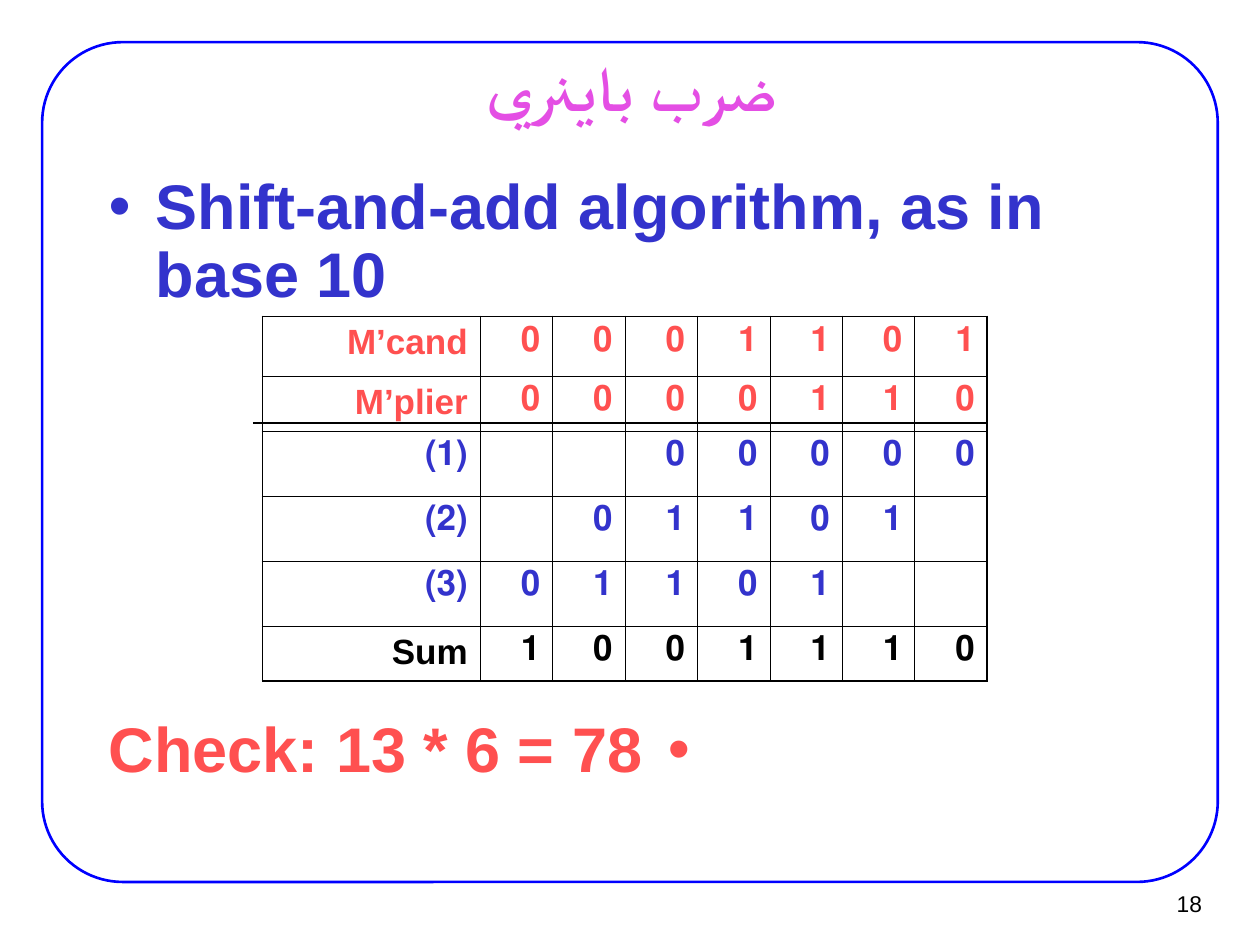
from dataclasses import dataclass

from lxml.etree import SubElement
from pptx import Presentation
from pptx.dml.color import RGBColor
from pptx.enum.shapes import MSO_CONNECTOR, MSO_SHAPE
from pptx.enum.text import MSO_ANCHOR, PP_ALIGN
from pptx.oxml import parse_xml
from pptx.oxml.ns import nsdecls, qn
from pptx.util import Cm, Pt

FONT = "Arial"
BLACK, BLUE, RED, PINK = "000000", "3333CC", "FF5050", "E44EE4"
THIN, THICK = 0.45, 1.08
FRAME_BLUE, WHITE = "0000FF", "FFFFFF"


@dataclass
class TextItem:
    text: str
    left: float
    top: float
    width: float
    height: float
    size: float
    color: str
    align: PP_ALIGN = PP_ALIGN.LEFT
    bold: bool = True
    bullet: bool = False
    rtl: bool = False
    middle: bool = False
    wrap: bool = True
    inset: tuple = (0.28, 0.15)


@dataclass
class TableRow:
    label: str
    digits: str
    height: float
    color: str


TEXTS = [
    TextItem("18", 22.91, 17.75, 1.55, 0.94, 13, BLACK, PP_ALIGN.RIGHT, bold=False,
             middle=True, wrap=False, inset=(0.23, 0.1)),
    TextItem("ضرب باينري", 1.93, 1.12, 21.59, 1.24, 36, PINK, PP_ALIGN.CENTER,
             rtl=True, middle=True),
    TextItem("Shift-and-add algorithm, as in base 10", 1.91, 3.38, 21.59, 2.9, 36, BLUE,
             bullet=True),
    TextItem("Check: 13 * 6 = 78", 1.91, 14.33, 21.59, 1.95, 36, RED, bullet=True, rtl=True),
]

ROWS = [
    TableRow("M’cand", "0001101", 1.2, RED),
    TableRow("M’plier", "0000110", 1.11, RED),
    TableRow("(1)", "  00000", 1.31, BLUE),
    TableRow("(2)", " 01101 ", 1.31, BLUE),
    TableRow("(3)", "01101  ", 1.31, BLUE),
    TableRow("Sum", "1001110", 1.11, BLACK),
]
LABEL_WIDTH, DIGIT_WIDTH = 4.39, 1.46


def rgb(value: str) -> RGBColor:
    return RGBColor.from_string(value)


def add_span(para, text: str, size: float, color: str, bold: bool) -> None:
    span = para.add_run()
    span.text = text
    span.font.name = FONT
    span.font.size = Pt(size)
    span.font.bold = bold
    span.font.color.rgb = rgb(color)


def add_bullet(para, color: str) -> None:
    properties = para._p.get_or_add_pPr()
    properties.set("marL", str(Cm(0.95)))
    properties.set("indent", str(-Cm(0.95)))
    para.line_spacing = 0.9
    para.space_before = Pt(9)
    bullet_color = SubElement(properties, qn("a:buClr"))
    SubElement(bullet_color, qn("a:srgbClr")).set("val", color)
    SubElement(properties, qn("a:buFont")).set("typeface", FONT)
    SubElement(properties, qn("a:buChar")).set("char", "•")


def draw_text(page, item: TextItem) -> None:
    box = page.shapes.add_textbox(Cm(item.left), Cm(item.top), Cm(item.width), Cm(item.height))
    frame = box.text_frame
    frame.word_wrap = item.wrap
    frame.margin_left = frame.margin_right = Cm(item.inset[0])
    frame.margin_top = frame.margin_bottom = Cm(item.inset[1])
    frame.vertical_anchor = MSO_ANCHOR.MIDDLE if item.middle else MSO_ANCHOR.TOP
    para = frame.paragraphs[0]
    para.alignment = item.align
    if item.rtl:
        para._p.get_or_add_pPr().set("rtl", "1")
    if item.bullet:
        add_bullet(para, item.color)
    add_span(para, item.text, item.size, item.color, item.bold)


def draw_borders(cell, widths: dict[str, float]) -> None:
    properties = cell._tc.get_or_add_tcPr()
    for position, (side, width) in enumerate(widths.items()):
        border = parse_xml(
            f'<a:{side} {nsdecls("a")} w="{Pt(width)}"><a:solidFill>'
            f'<a:srgbClr val="{BLACK}"/></a:solidFill></a:{side}>')
        properties.insert(position, border)


def fill_cell(cell, text: str, color: str) -> None:
    cell.fill.background()
    cell.margin_left = cell.margin_right = Cm(0.25)
    cell.margin_top = cell.margin_bottom = Cm(0.13)
    if text.strip():
        para = cell.text_frame.paragraphs[0]
        para.alignment = PP_ALIGN.RIGHT
        para.space_before = Pt(5)
        para._p.get_or_add_pPr().set("rtl", "1")
        add_span(para, text, 20, color, True)


def draw_table(page, rows: list[TableRow]) -> None:
    digit_count = len(rows[0].digits)
    width = LABEL_WIDTH + DIGIT_WIDTH * digit_count
    height = sum(row.height for row in rows)
    table = page.shapes.add_table(
        len(rows), digit_count + 1, Cm(5.29), Cm(6.38), Cm(width), Cm(height)).table
    table.first_row = table.horz_banding = False
    for index, column in enumerate(table.columns):
        column.width = Cm(DIGIT_WIDTH if index else LABEL_WIDTH)
    for row_index, row in enumerate(rows):
        table.rows[row_index].height = Cm(row.height)
        for column_index, text in enumerate([row.label, *row.digits]):
            cell = table.cell(row_index, column_index)
            fill_cell(cell, text, row.color)
            draw_borders(cell, {
                "lnL": THICK if column_index == 0 else THIN,
                "lnR": THICK if column_index == digit_count else THIN,
                "lnT": THICK if row_index == 0 else THIN,
                "lnB": THICK if row_index == len(rows) - 1 else THIN,
            })


def draw_frame(page) -> None:
    border = page.shapes.add_shape(
        MSO_SHAPE.ROUNDED_RECTANGLE, Cm(0.85), Cm(0.85), Cm(23.7), Cm(16.93))
    border.adjustments[0] = 0.096
    border.shadow.inherit = False
    border.fill.background()
    border.line.color.rgb = rgb(FRAME_BLUE)
    border.line.width = Pt(1.5)


def draw_rule(page) -> None:
    rule = page.shapes.add_connector(
        MSO_CONNECTOR.STRAIGHT, Cm(5.1), Cm(8.53), Cm(19.91), Cm(8.53))
    rule.line.color.rgb = rgb(BLACK)
    rule.line.width = Pt(0.75)
    SubElement(rule._element.spPr, qn("a:effectLst"))


def main() -> None:
    deck = Presentation()
    deck.slide_width, deck.slide_height = Cm(25.4), Cm(19.05)
    page = deck.slides.add_slide(deck.slide_layouts[6])
    page.background.fill.solid()
    page.background.fill.fore_color.rgb = rgb(WHITE)
    draw_frame(page)
    for item in TEXTS:
        draw_text(page, item)
    draw_table(page, ROWS)
    draw_rule(page)
    deck.save("out.pptx")


if __name__ == "__main__":
    main()
